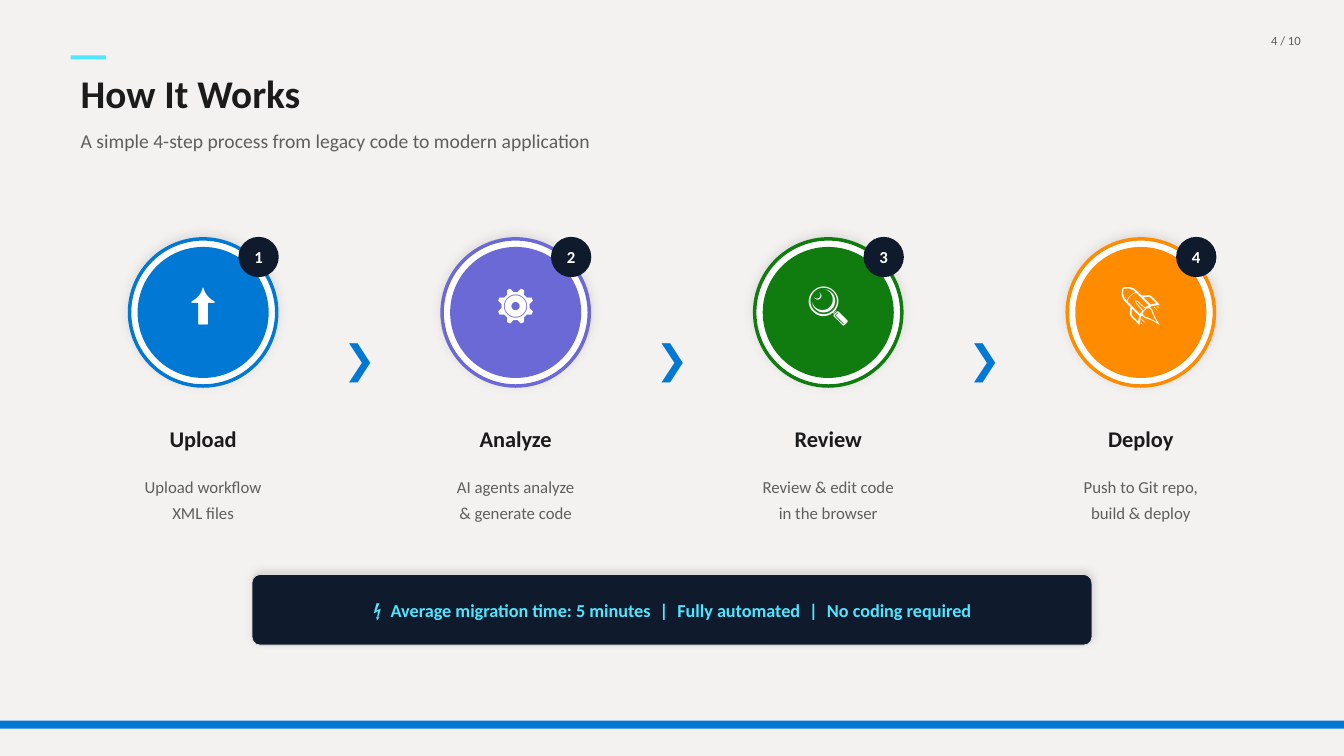
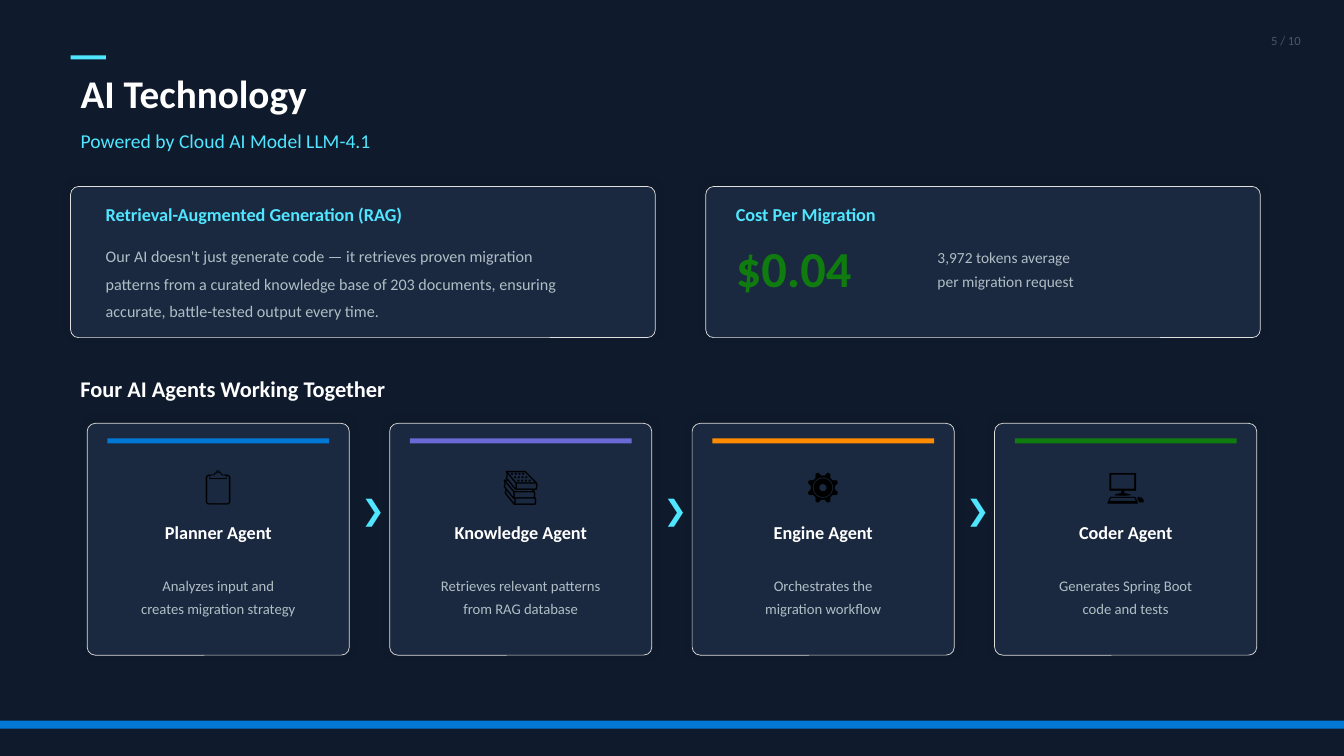
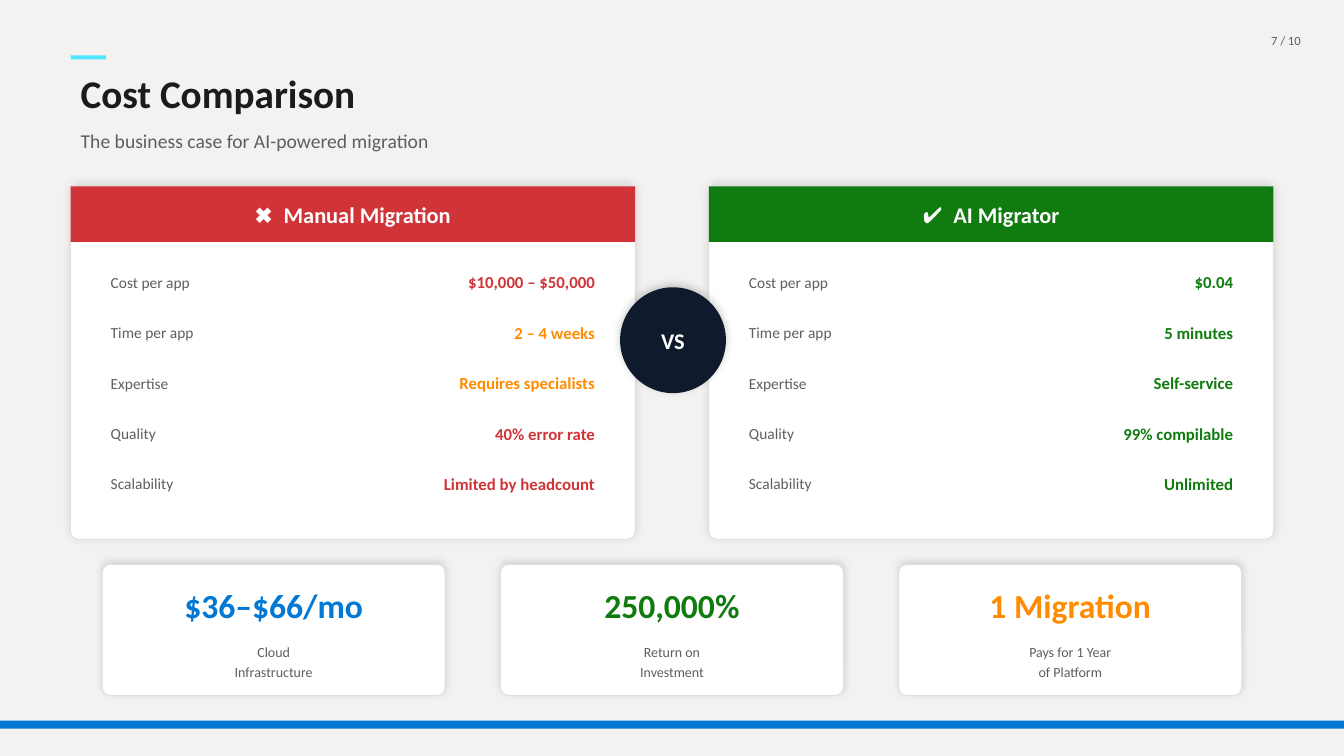
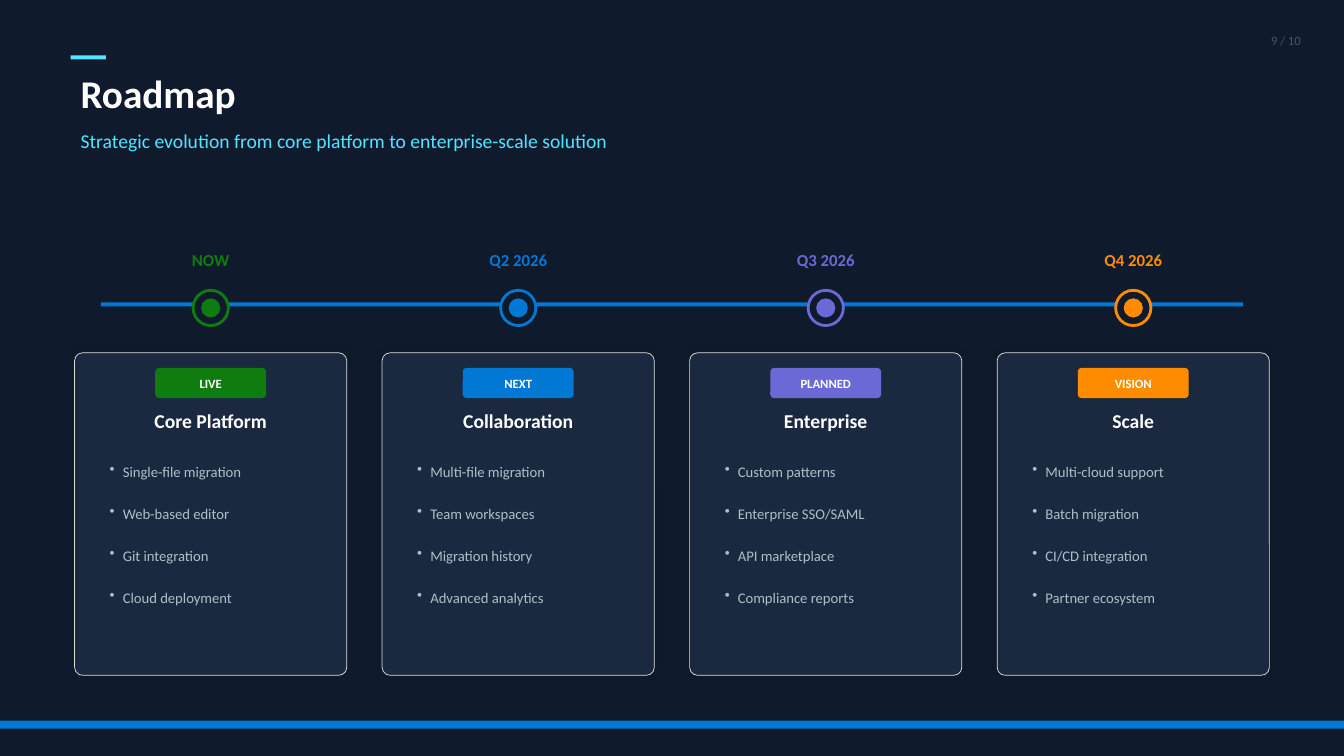
from dataclasses import dataclass

from lxml import etree
from pptx import Presentation
from pptx.dml.color import RGBColor
from pptx.enum.shapes import MSO_SHAPE
from pptx.enum.text import MSO_ANCHOR, MSO_AUTO_SIZE, PP_ALIGN
from pptx.oxml.ns import qn
from pptx.util import Inches, Pt

WIDTH, HEIGHT = 13.33, 7.5
FONT = "Calibri"
BLUE, PURPLE, GREEN, ORANGE, RED = "0078D4", "6B69D6", "107C10", "FF8C00", "D13438"
CYAN, NAVY, PANEL, WHITE, BLACK = "50E6FF", "0F1B2D", "1A2940", "FFFFFF", "000000"
INK, GREY, MIST, BORDER = "1B1B1B", "605E5C", "B0BEC5", "E1DFDD"
LEFT, CENTER, RIGHT = PP_ALIGN.LEFT, PP_ALIGN.CENTER, PP_ALIGN.RIGHT
TOP, MIDDLE, BOTTOM = MSO_ANCHOR.TOP, MSO_ANCHOR.MIDDLE, MSO_ANCHOR.BOTTOM
RECT, ROUND, OVAL = MSO_SHAPE.RECTANGLE, MSO_SHAPE.ROUNDED_RECTANGLE, MSO_SHAPE.OVAL
CHEVRON = "❯"


@dataclass(frozen=True)
class Theme:
    """Colours of a light or a dark slide."""
    background: str
    title: str
    subtitle: str
    number: str


@dataclass(frozen=True)
class Style:
    """Look of a piece of text."""
    size: float
    color: str
    bold: bool = False
    align: PP_ALIGN = LEFT
    anchor: MSO_ANCHOR = MIDDLE
    spacing: float = 1.0


@dataclass(frozen=True)
class Box:
    """Place on the slide, in inches."""
    left: float
    top: float
    width: float
    height: float


@dataclass(frozen=True)
class Shadow:
    """Soft shadow cast upwards: opacity in percent, blur in points."""
    opacity: int
    blur: int


@dataclass(frozen=True)
class Step:
    """A step of the process, or an agent."""
    icon: str
    name: str
    detail: str
    color: str


@dataclass(frozen=True)
class Option:
    """One side of the cost comparison, with (value, colour) rows."""
    heading: str
    color: str
    left: float
    values: tuple


@dataclass(frozen=True)
class Metric:
    """A key figure and its caption."""
    figure: str
    caption: str
    color: str


@dataclass(frozen=True)
class Phase:
    """A stage of the roadmap."""
    date: str
    status: str
    name: str
    color: str
    items: tuple


LIGHT = Theme("F3F2F1", INK, GREY, GREY)
DARK = Theme(NAVY, WHITE, CYAN, "4A5568")
CARD_SHADOW, RING_SHADOW, VS_SHADOW = Shadow(12, 6), Shadow(10, 8), Shadow(20, 6)

STEPS = (
    Step("⬆", "Upload", "Upload workflow\nXML files", BLUE),
    Step("⚙", "Analyze", "AI agents analyze\n& generate code", PURPLE),
    Step("🔍", "Review", "Review & edit code\nin the browser", GREEN),
    Step("🚀", "Deploy", "Push to Git repo,\nbuild & deploy", ORANGE),
)
AGENTS = (
    Step("📋", "Planner Agent", "Analyzes input and\ncreates migration strategy", BLUE),
    Step("📚", "Knowledge Agent", "Retrieves relevant patterns\nfrom RAG database", PURPLE),
    Step("⚙", "Engine Agent", "Orchestrates the\nmigration workflow", ORANGE),
    Step("💻", "Coder Agent", "Generates Spring Boot\ncode and tests", GREEN),
)
CRITERIA = ("Cost per app", "Time per app", "Expertise", "Quality", "Scalability")
OPTIONS = (
    Option("✖\u2002Manual Migration", RED, 0.7, (
        ("$10,000 – $50,000", RED), ("2 – 4 weeks", ORANGE),
        ("Requires specialists", ORANGE), ("40% error rate", RED),
        ("Limited by headcount", RED))),
    Option("✔\u2002AI Migrator", GREEN, 7.03, (
        ("$0.04", GREEN), ("5 minutes", GREEN), ("Self-service", GREEN),
        ("99% compilable", GREEN), ("Unlimited", GREEN))),
)
METRICS = (
    Metric("$36–$66/mo", "Cloud\nInfrastructure", BLUE),
    Metric("250,000%", "Return on\nInvestment", GREEN),
    Metric("1 Migration", "Pays for 1 Year\nof Platform", ORANGE),
)
PHASES = (
    Phase("NOW", "LIVE", "Core Platform", GREEN,
          ("Single-file migration", "Web-based editor", "Git integration",
           "Cloud deployment")),
    Phase("Q2 2026", "NEXT", "Collaboration", BLUE,
          ("Multi-file migration", "Team workspaces", "Migration history",
           "Advanced analytics")),
    Phase("Q3 2026", "PLANNED", "Enterprise", PURPLE,
          ("Custom patterns", "Enterprise SSO/SAML", "API marketplace",
           "Compliance reports")),
    Phase("Q4 2026", "VISION", "Scale", ORANGE,
          ("Multi-cloud support", "Batch migration", "CI/CD integration",
           "Partner ecosystem")),
)


def rgb(color: str) -> RGBColor:
    """Turn a hex string into a colour."""
    return RGBColor.from_string(color)


def centers(count: int, pitch: float) -> list[float]:
    """Return the centres of evenly spaced columns, centred on the slide."""
    return [WIDTH / 2 + (i - (count - 1) / 2) * pitch for i in range(count)]


def around(center: float, top: float, width: float, height: float) -> Box:
    """Return a box centred horizontally on a column."""
    return Box(center - width / 2, top, width, height)


def place(shape, box: Box) -> None:
    """Move and size a shape."""
    shape.left, shape.top = Inches(box.left), Inches(box.top)
    shape.width, shape.height = Inches(box.width), Inches(box.height)


def write(shape, text: str, style: Style) -> None:
    """Fill a shape with styled text, one paragraph a line."""
    frame = shape.text_frame
    frame.text = text
    frame.word_wrap = True
    frame.auto_size = MSO_AUTO_SIZE.NONE
    frame.vertical_anchor = style.anchor
    for paragraph in frame.paragraphs:
        paragraph.alignment = style.align
        paragraph.line_spacing = style.spacing
        paragraph.space_before = Pt(0)
        for run in paragraph.runs:
            run.font.name = FONT
            run.font.size = Pt(style.size)
            run.font.bold = style.bold
            run.font.color.rgb = rgb(style.color)


def add_text(slide, box: Box, text: str, style: Style):
    """Add a text box."""
    label = slide.shapes.add_textbox(0, 0, 0, 0)
    place(label, box)
    write(label, text, style)
    return label


def set_bullet(paragraph, char: str = "", indent: float = 0) -> None:
    """Give a paragraph a hanging bullet, or none at all."""
    props = paragraph._p.get_or_add_pPr()
    props.set("marL", str(Inches(indent)))
    props.set("indent", str(-Inches(indent)))
    if char:
        etree.SubElement(props, qn("a:buChar"), char=char)
    else:
        etree.SubElement(props, qn("a:buNone"))


def add_shadow(shape, shadow: Shadow) -> None:
    """Cast a soft black shadow upwards."""
    effects = shape._element.spPr.find(qn("a:effectLst"))
    outer = etree.SubElement(
        effects, qn("a:outerShdw"), blurRad=str(Pt(shadow.blur)), dist=str(Pt(2)),
        dir=str(270 * 60000), algn="ctr", rotWithShape="0")
    color = etree.SubElement(outer, qn("a:srgbClr"), val=BLACK)
    etree.SubElement(color, qn("a:alpha"), val=str(shadow.opacity * 1000))


def add_shape(slide, kind: MSO_SHAPE, box: Box, fill: str, line: str = "",
              weight: float = 0, radius: float = 0, shadow: Shadow | None = None):
    """Add a filled shape, with an outline and a shadow if wanted."""
    shape = slide.shapes.add_shape(kind, 0, 0, 0, 0)
    place(shape, box)
    shape.fill.solid()
    shape.fill.fore_color.rgb = rgb(fill)
    if line:
        shape.line.color.rgb = rgb(line)
        shape.line.width = Pt(weight)
    else:
        shape.line.fill.background()
    if radius:
        shape.adjustments[0] = radius / min(box.width, box.height)
    shape.shadow.inherit = False
    if shadow:
        add_shadow(shape, shadow)
    return shape


def add_card(slide, box: Box, fill: str):
    """Add a rounded card with a thin border."""
    return add_shape(slide, ROUND, box, fill, BORDER, 0.5, 0.08, CARD_SHADOW)


def add_label(shape, text: str, size: float) -> None:
    """Write white bold text in the middle of a shape."""
    write(shape, text, Style(size, WHITE, True, CENTER))
    frame = shape.text_frame
    frame.margin_left = frame.margin_right = frame.margin_top = frame.margin_bottom = 0


def add_slide(deck, theme: Theme, number: int, title: str, subtitle: str):
    """Add a slide with its headings, accent, page number and bottom band."""
    slide = deck.slides.add_slide(deck.slide_layouts[1])
    slide.background.fill.solid()
    slide.background.fill.fore_color.rgb = rgb(theme.background)
    heading, body = slide.shapes.title, slide.placeholders[1]
    place(heading, Box(0.7, 0.65, 10, 0.55))
    write(heading, title, Style(28, theme.title, True))
    place(body, Box(0.7, 1.2, 11, 0.4))
    write(body, subtitle, Style(14, theme.subtitle))
    set_bullet(body.text_frame.paragraphs[0])
    add_text(slide, Box(11.5, 0.25, 1.5, 0.3), f"{number} / 10",
             Style(9, theme.number, align=RIGHT))
    add_shape(slide, RECT, Box(0.7, 0.55, 0.35, 0.04), CYAN)
    add_shape(slide, RECT, Box(0, 7.15, WIDTH, 0.08), BLUE)
    return slide


def build_process(deck) -> None:
    """Build the four-step process slide."""
    slide = add_slide(deck, LIGHT, 4, "How It Works",
                      "A simple 4-step process from legacy code to modern application")
    pitch = 3.1
    for i, (step, x) in enumerate(zip(STEPS, centers(len(STEPS), pitch))):
        add_shape(slide, OVAL, around(x, 2.37, 1.46, 1.46), WHITE, step.color, 2.5,
                  shadow=RING_SHADOW)
        add_shape(slide, OVAL, around(x, 2.45, 1.3, 1.3), step.color)
        add_text(slide, around(x, 2.45, 1.3, 0.84), step.icon,
                 Style(30, WHITE, align=CENTER, anchor=BOTTOM))
        badge = add_shape(slide, OVAL, around(x + 0.55, 2.35, 0.4, 0.4), NAVY)
        add_label(badge, str(i + 1), 12)
        add_text(slide, around(x, 4.15, 2.4, 0.4), step.name,
                 Style(16, INK, True, CENTER))
        add_text(slide, around(x, 4.55, 2.4, 0.75), step.detail,
                 Style(12, GREY, align=CENTER, spacing=1.3))
        if i < len(STEPS) - 1:
            add_text(slide, around(x + pitch / 2, 3.3, 0.6, 0.5), CHEVRON,
                     Style(28, BLUE, True, CENTER))
    banner = add_card(slide, Box(2.5, 5.7, 8.33, 0.7), NAVY)
    facts = ("⚡\u2002Average migration time: 5 minutes", "Fully automated",
             "No coding required")
    write(banner, "\u2002|\u2002".join(facts), Style(13, CYAN, True, CENTER))


def build_technology(deck) -> None:
    """Build the slide on retrieval, cost and the four agents."""
    slide = add_slide(deck, DARK, 5, "AI Technology", "Powered by Cloud AI Model LLM-4.1")
    card_title = Style(13, CYAN, True)
    add_card(slide, Box(0.7, 1.85, 5.8, 1.5), PANEL)
    add_text(slide, Box(0.95, 1.95, 5.3, 0.35), "Retrieval-Augmented Generation (RAG)",
             card_title)
    add_text(slide, Box(0.95, 2.35, 5.3, 0.85),
             "Our AI doesn't just generate code — it retrieves proven migration\n"
             "patterns from a curated knowledge base of 203 documents, ensuring\n"
             "accurate, battle-tested output every time.",
             Style(11.5, MIST, spacing=1.4))
    add_card(slide, Box(7, 1.85, 5.5, 1.5), PANEL)
    add_text(slide, Box(7.2, 1.95, 5.1, 0.35), "Cost Per Migration", card_title)
    add_text(slide, Box(7.2, 2.3, 2, 0.7), "$0.04", Style(36, GREEN, True))
    add_text(slide, Box(9.2, 2.35, 3, 0.6), "3,972 tokens average\nper migration request",
             Style(11, MIST, spacing=1.3))
    add_text(slide, Box(0.7, 3.65, 10, 0.4), "Four AI Agents Working Together",
             Style(16, WHITE, True))
    pitch = 3.0
    for i, (agent, x) in enumerate(zip(AGENTS, centers(len(AGENTS), pitch))):
        add_card(slide, around(x, 4.2, 2.6, 2.3), PANEL)
        add_shape(slide, RECT, around(x, 4.35, 2.2, 0.05), agent.color)
        add_text(slide, around(x, 4.5, 2.6, 0.6), agent.icon,
                 Style(26, BLACK, align=CENTER))
        add_text(slide, around(x, 5.1, 2.6, 0.35), agent.name,
                 Style(13, WHITE, True, CENTER))
        add_text(slide, around(x, 5.5, 2.3, 0.8), agent.detail,
                 Style(10.5, MIST, align=CENTER, spacing=1.3))
        if i < len(AGENTS) - 1:
            add_text(slide, around(x + pitch / 2, 4.8, 0.36, 0.5), CHEVRON,
                     Style(20, CYAN, True, CENTER))


def add_option(slide, option: Option) -> None:
    """Add one side of the comparison."""
    x = option.left
    add_card(slide, Box(x, 1.85, 5.6, 3.5), WHITE)
    header = add_shape(slide, RECT, Box(x, 1.85, 5.6, 0.55), option.color)
    add_label(header, option.heading, 16)
    for i, (criterion, (value, color)) in enumerate(zip(CRITERIA, option.values)):
        y = 2.6 + 0.5 * i
        add_text(slide, Box(x + 0.3, y, 2.2, 0.4), criterion, Style(11, GREY))
        add_text(slide, Box(x + 2.5, y, 2.8, 0.4), value, Style(12, color, True, RIGHT))


def build_comparison(deck) -> None:
    """Build the cost comparison slide."""
    slide = add_slide(deck, LIGHT, 7, "Cost Comparison",
                      "The business case for AI-powered migration")
    for option in OPTIONS:
        add_option(slide, option)
    versus = add_shape(slide, OVAL, Box(6.15, 2.85, 1.05, 1.05), NAVY, shadow=VS_SHADOW)
    add_label(versus, "VS", 16)
    for metric, x in zip(METRICS, centers(len(METRICS), 3.95)):
        add_card(slide, around(x, 5.6, 3.4, 1.3), WHITE)
        add_text(slide, around(x, 5.7, 3.4, 0.55), metric.figure,
                 Style(24, metric.color, True, CENTER, BOTTOM))
        add_text(slide, around(x, 6.3, 3.4, 0.45), metric.caption,
                 Style(10, GREY, align=CENTER, anchor=TOP, spacing=1.2))


def build_roadmap(deck) -> None:
    """Build the roadmap slide."""
    slide = add_slide(deck, DARK, 9, "Roadmap",
                      "Strategic evolution from core platform to enterprise-scale solution")
    add_shape(slide, RECT, Box(1, 3, 11.33, 0.04), BLUE)
    for phase, x in zip(PHASES, centers(len(PHASES), 3.05)):
        add_shape(slide, OVAL, around(x, 2.88, 0.35, 0.35), NAVY, phase.color, 2)
        add_shape(slide, OVAL, around(x, 2.96, 0.19, 0.19), phase.color)
        add_text(slide, around(x, 2.4, 2.7, 0.35), phase.date,
                 Style(12, phase.color, True, CENTER))
        add_card(slide, around(x, 3.5, 2.7, 3.2), PANEL)
        status = add_shape(slide, ROUND, around(x, 3.65, 1.1, 0.3), phase.color,
                           radius=0.04)
        add_label(status, phase.status, 9)
        add_text(slide, around(x, 4, 2.7, 0.35), phase.name,
                 Style(14, WHITE, True, CENTER))
        items = add_text(slide, Box(x - 1.1, 4.54, 2.3, 1.57), "\n".join(phase.items),
                         Style(10.5, MIST, anchor=TOP))
        for paragraph in items.text_frame.paragraphs:
            paragraph.space_after = Pt(17.4)
            set_bullet(paragraph, "•", 0.13)


def main() -> None:
    """Build the deck and save it."""
    deck = Presentation()
    deck.slide_width, deck.slide_height = Inches(WIDTH), Inches(HEIGHT)
    for build in (build_process, build_technology, build_comparison, build_roadmap):
        build(deck)
    deck.save("out.pptx")


main()
